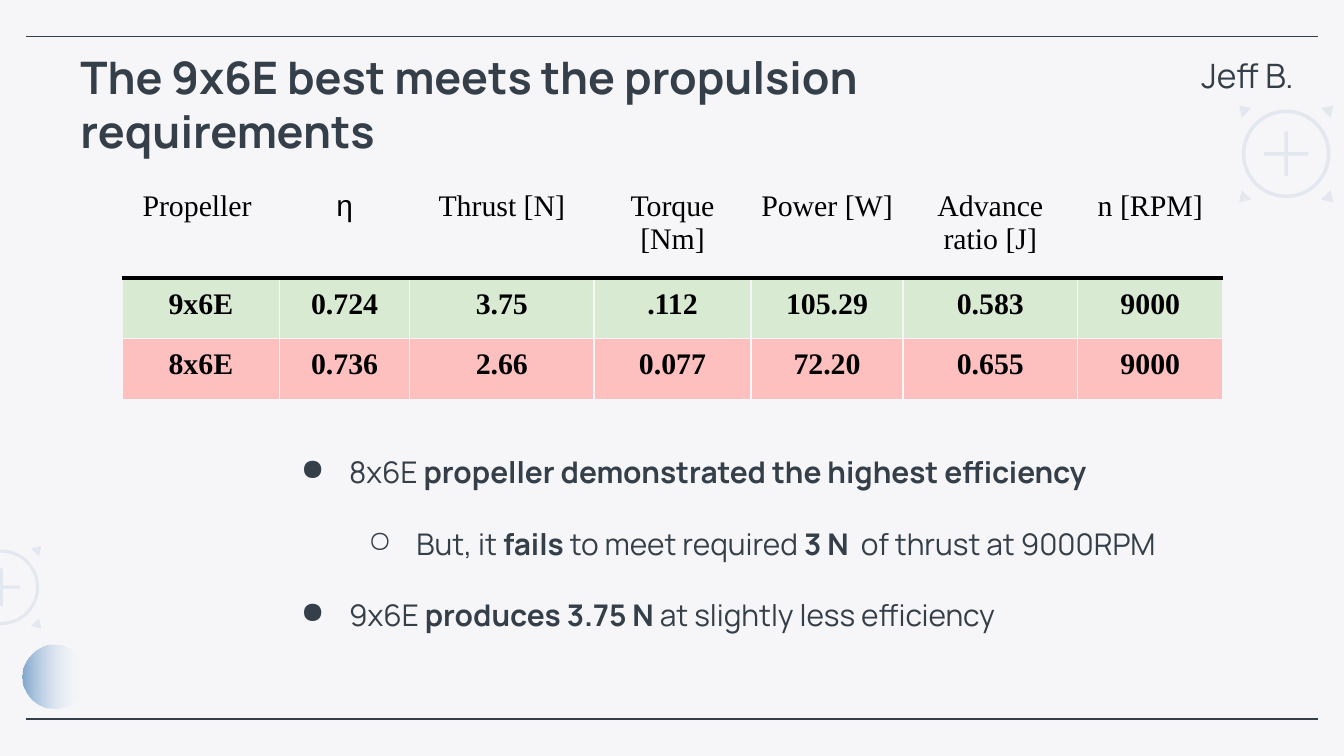
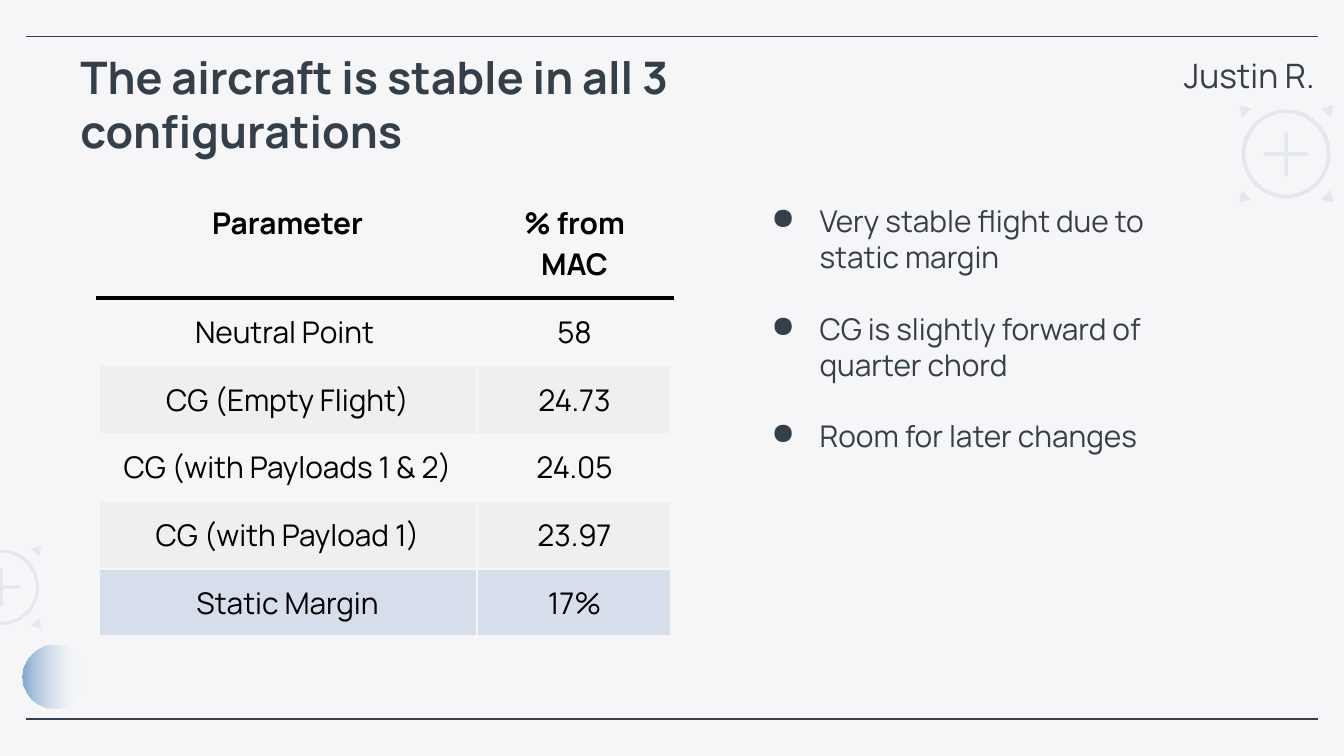
from dataclasses import dataclass

from lxml.etree import SubElement
from pptx import Presentation
from pptx.dml.color import RGBColor
from pptx.enum.shapes import MSO_CONNECTOR, MSO_SHAPE
from pptx.enum.text import MSO_ANCHOR, PP_ALIGN
from pptx.oxml.ns import qn
from pptx.util import Emu, Inches, Pt

COLUMNS, ROWS = 100, 56.25
WIDTH, HEIGHT = Inches(10), Inches(5.625)
INK = RGBColor(0x35, 0x3F, 0x49)
PAPER = RGBColor(0xF6, 0xF6, 0xF8)
BLACK = RGBColor(0, 0, 0)
MIST = RGBColor(0xD6, 0xDE, 0xEB)
SKY = RGBColor(0x81, 0xA7, 0xCE)
WHITE = RGBColor(0xFF, 0xFF, 0xFF)
GREEN = RGBColor(0xD9, 0xEA, 0xD3)
RED = RGBColor(0xFE, 0xC0, 0xBF)
GREY = RGBColor(0xEF, 0xEF, 0xEF)
SANS, SERIF, SYMBOL = "Manrope", "Times New Roman", "Arial"
THIN, THICK = 0.75, 2.25


def across(columns):
    return Emu(round(columns * WIDTH / COLUMNS))


def down(rows):
    return Emu(round(rows * HEIGHT / ROWS))


@dataclass
class Box:
    left: float
    top: float
    width: float
    height: float

    def place(self):
        return across(self.left), down(self.top), across(self.width), down(self.height)


@dataclass
class TableStyle:
    font: str
    inset: float
    edge: float
    header_bold: bool
    body_bold: bool
    line_height: float | None = None


def add_run(paragraph, text, size, color=INK, bold=False, font=SANS):
    run = paragraph.add_run()
    run.text = text
    run.font.name = font
    run.font.size = Pt(size)
    run.font.bold = bold
    run.font.color.rgb = color


def add_text_frame(slide, box):
    frame = slide.shapes.add_textbox(*box.place()).text_frame
    frame.word_wrap = True
    frame.margin_left = frame.margin_right = across(1)
    frame.margin_top = frame.margin_bottom = down(1)
    return frame


def set_indent(paragraph, margin, first_line=0):
    properties = paragraph._p.get_or_add_pPr()
    properties.set("marL", str(across(margin)))
    properties.set("indent", str(across(first_line)))
    return properties


def set_alpha(shape, percent):
    color = list(shape._element.spPr.iter(qn("a:srgbClr")))[-1]
    SubElement(color, qn("a:alpha")).set("val", str(percent * 1000))


def finish_mark(shape):
    shape.shadow.inherit = False
    shape.line.fill.background()
    shape.fill.solid()
    shape.fill.fore_color.rgb = MIST
    set_alpha(shape, 61)


def add_target(slide, x, y, scale, sides):
    for preset, size, adjustment in ((MSO_SHAPE.MATH_PLUS, 4.5, 0.058), (MSO_SHAPE.DONUT, 6.6, 0.04)):
        size *= scale
        box = Box(x - size / 2, y - size / 2, size, size)
        shape = slide.shapes.add_shape(preset, *box.place())
        shape.adjustments[0] = adjustment
        finish_mark(shape)
    corner = ((3.5, 3.6), (3.3, 2.7), (2.6, 3.4))
    for side in sides:
        for end in (-1, 1):
            points = [(across(x + side * scale * dx), down(y + end * scale * dy)) for dx, dy in corner]
            builder = slide.shapes.build_freeform(*points[0])
            builder.add_line_segments(points[1:], close=True)
            finish_mark(builder.convert_to_shape())


def add_rule(slide, row):
    rule = slide.shapes.add_connector(
        MSO_CONNECTOR.STRAIGHT, across(1.9), down(row), across(COLUMNS - 1.9), down(row))
    rule.line.color.rgb = INK
    rule.line.width = Pt(THIN)
    SubElement(rule._element.spPr, qn("a:effectLst"))


def add_moon(slide, box):
    moon = slide.shapes.add_shape(MSO_SHAPE.OVAL, *box.place())
    moon.shadow.inherit = False
    moon.line.fill.background()
    moon.fill.gradient()
    moon.fill.gradient_angle = 0
    for stop, color in zip(moon.fill.gradient_stops, (SKY, WHITE)):
        stop.color.rgb = color
    set_alpha(moon, 0)


def add_slide(presentation, title, title_width, speaker, speaker_width):
    slide = presentation.slides.add_slide(presentation.slide_layouts[6])
    slide.background.fill.solid()
    slide.background.fill.fore_color.rgb = PAPER
    for row in (2.7, 53.5):
        add_rule(slide, row)
    add_target(slide, 95.7, 11.45, 1, (-1, 1))
    add_moon(slide, Box(1.7, 48, 4.7, 4.7))
    add_target(slide, 0.1, 43.7, 0.85, (1,))

    frame = add_text_frame(slide, Box(COLUMNS - speaker_width, 0, speaker_width, 7.6))
    frame.vertical_anchor = MSO_ANCHOR.BOTTOM
    frame.margin_bottom = down(0.5)
    add_run(frame.paragraphs[0], speaker, 18)

    paragraph = add_text_frame(slide, Box(0, 2.7, title_width, 10.4)).paragraphs[0]
    set_indent(paragraph, 5)
    add_run(paragraph, title, 24, bold=True)
    return slide


def add_bullets(slide, box, items, margin, line_spacing=None, gap=0):
    frame = add_text_frame(slide, box)
    for index, (level, runs) in enumerate(items):
        paragraph = frame.add_paragraph() if index else frame.paragraphs[0]
        paragraph.level = level
        properties = set_indent(paragraph, margin + 5 * level, -3.6)
        bullet_color = SubElement(properties, qn("a:buClr"))
        SubElement(bullet_color, qn("a:srgbClr")).set("val", str(INK))
        SubElement(properties, qn("a:buChar")).set("char", "●○"[level])
        if line_spacing:
            paragraph.line_spacing = line_spacing
        if index and gap:
            paragraph.space_before = Pt(gap)
        for text, bold in runs:
            add_run(paragraph, text, 16, bold=bold)


def set_borders(cell, borders):
    properties = cell._tc.get_or_add_tcPr()
    for position, (side, (color, width)) in enumerate(borders.items()):
        line = SubElement(properties, qn(f"a:ln{side}"))
        line.set("w", str(Pt(width)))
        fill = SubElement(line, qn("a:solidFill"))
        SubElement(fill, qn("a:srgbClr")).set("val", str(color))
        properties.insert(position, line)


def fill_cell(cell, text, style, header, fill):
    cell.margin_left = cell.margin_right = across(style.inset)
    cell.margin_top = cell.margin_bottom = down(style.inset)
    if fill is None:
        cell.fill.background()
    else:
        cell.fill.solid()
        cell.fill.fore_color.rgb = fill
    paragraph = cell.text_frame.paragraphs[0]
    paragraph.alignment = PP_ALIGN.CENTER
    if style.line_height:
        paragraph.line_spacing = Pt(style.line_height)
    bold = style.header_bold if header else style.body_bold
    add_run(paragraph, text, 16, BLACK, bold, SYMBOL if text == "ƞ" else style.font)


def add_data_table(slide, left, top, widths, heights, values, fills, style):
    box = Box(left, top, sum(widths), sum(heights))
    table = slide.shapes.add_table(len(heights), len(widths), *box.place()).table
    table.first_row = table.horz_banding = False
    for column, width in zip(table.columns, widths):
        column.width = across(width)
    for row, height in zip(table.rows, heights):
        row.height = down(height)
    last_row, last_column = len(heights) - 1, len(widths) - 1
    for r, (texts, fill) in enumerate(zip(values, fills)):
        for c, text in enumerate(texts):
            cell = table.cell(r, c)
            fill_cell(cell, text, style, r == 0, fill)
            set_borders(cell, {
                "L": (PAPER, THIN if c else style.edge),
                "R": (PAPER, style.edge if c == last_column else THIN),
                "T": (BLACK, THICK) if r == 1 else (PAPER, THIN if r else style.edge),
                "B": (BLACK, THICK) if r == 0 else (PAPER, style.edge if r == last_row else THIN),
            })


def build_propeller_slide(presentation):
    slide = add_slide(presentation, "The 9x6E best meets the propulsion requirements", 72.2, "Jeff B.", 11.6)
    values = (
        ("Propeller ", "ƞ", "Thrust [N]", "Torque [Nm]", "Power [W]", "Advance ratio [J]", "n [RPM]"),
        ("9x6E", "0.724", "3.75", ".112", "105.29", "0.583", "9000"),
        ("8x6E", "0.736", "2.66", "0.077", "72.20", "0.655", "9000"),
    )
    add_data_table(slide, 9.1, 13.4, (11.7, 9.7, 13.7, 11.7, 11.3, 13, 10.8), (7.3, 4.5, 4.5),
                   values, (None, GREEN, RED), TableStyle(SERIF, 0.7, THIN, False, True))
    add_bullets(slide, Box(0, 30.1, 91.8, 22.1), (
        (0, (("8x6E ", False), ("propeller demonstrated the highest efficiency", True))),
        (1, (("But, it ", False), ("fails ", True), ("to meet required ", False),
             ("3 N ", True), (" of thrust at 9000RPM", False))),
        (0, (("9x6E ", False), ("produces 3.75 N ", True), ("at slightly less efficiency", False))),
    ), 25, line_spacing=2.0)


def build_stability_slide(presentation):
    slide = add_slide(presentation, "The aircraft is stable in all 3 configurations", 74.1, "Justin R.", 12.9)
    values = (
        ("Parameter", "% from MAC"),
        ("Neutral Point ", "58"),
        ("CG (Empty Flight)", "24.73"),
        ("CG (with Payloads 1 & 2)", "24.05"),
        ("CG (with Payload 1)", "23.97"),
        ("Static Margin", "17%"),
    )
    add_data_table(slide, 7.3, 14.1, (28.2, 14.5), (4.2, 4.2, 3.9, 4.2, 4.2, 4.2),
                   values, (None, None, GREY, None, GREY, MIST),
                   TableStyle(SANS, 1, THICK, True, False, 21.85))
    points = ("Very stable flight due to static margin",
              "CG is slightly forward of quarter chord",
              "Room for later changes")
    add_bullets(slide, Box(50, 14.1, 40.8, 20.9),
                [(0, ((point, False),)) for point in points], 10, gap=19.2)


def main():
    presentation = Presentation()
    presentation.slide_width = WIDTH
    presentation.slide_height = HEIGHT
    build_propeller_slide(presentation)
    build_stability_slide(presentation)
    presentation.save("out.pptx")


if __name__ == "__main__":
    main()
